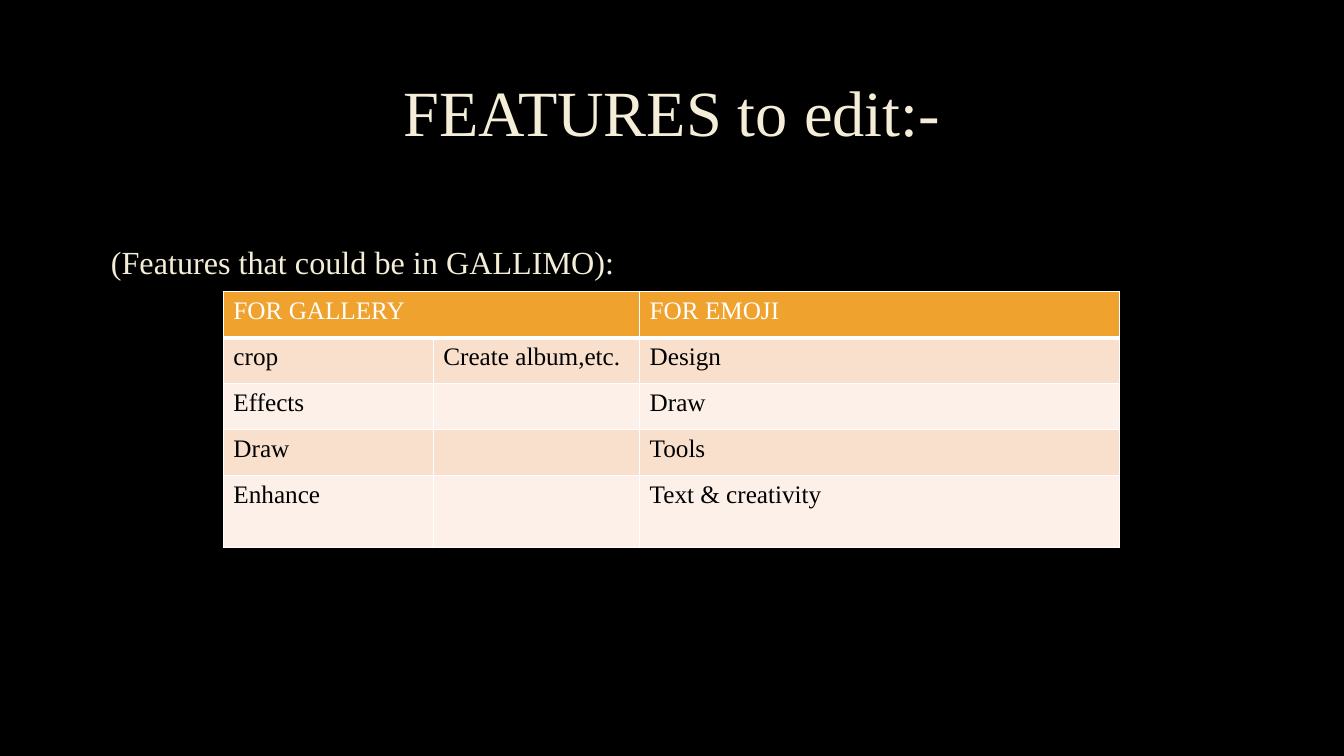
from lxml import etree
from pptx import Presentation
from pptx import util as u
from pptx.dml.color import RGBColor
from pptx.enum import text
from pptx.oxml.ns import qn

TITLE = "FEATURES to edit:-"
INTRO = "(Features that could be in GALLIMO):"
FEATURES = [
    ("FOR GALLERY", "", "FOR EMOJI"),
    ("crop", "Create album,etc.", "Design"),
    ("Effects", "", "Draw"),
    ("Draw", "", "Tools"),
    ("Enhance", "", "Text & creativity"),
]
COLORS = {
    "background": "000000",
    "cream": "F4EDD8",
    "header": "F0A22E",
    "odd": "F9E0CD",
    "even": "FCF0E8",
    "white": "FFFFFF",
    "black": "000000",
}
FONT = "Times New Roman"
COLUMN_WIDTHS = [5.29, 5.2, 12.09]
ROW_HEIGHTS = [1.16] * 4 + [1.8]


def color(name):
    return RGBColor.from_string(COLORS[name])


def place(shape, left, top, width, height):
    shape.left, shape.top = u.Cm(left), u.Cm(top)
    shape.width, shape.height = u.Cm(width), u.Cm(height)


def style_runs(paragraph, size, color_name):
    for run in paragraph.runs:
        run.font.name = FONT
        run.font.size = u.Pt(size)
        run.font.bold = False
        run.font.color.rgb = color(color_name)


def add_borders(cell, bottom):
    """Draw white cell edges, 1 pt wide except for the bottom one."""
    properties = cell._tc.get_or_add_tcPr()
    for position, (side, points) in enumerate(
            [("L", 1), ("R", 1), ("T", 1), ("B", bottom)]):
        line = etree.Element(qn(f"a:ln{side}"), w=str(u.Pt(points)))
        fill = etree.SubElement(line, qn("a:solidFill"))
        etree.SubElement(fill, qn("a:srgbClr"), val=COLORS["white"])
        properties.insert(position, line)


def fill_placeholder(shape, content, size, spacing, anchor):
    frame = shape.text_frame
    frame.text = content
    frame.word_wrap = True
    frame.auto_size = text.MSO_AUTO_SIZE.NONE
    frame.vertical_anchor = anchor
    paragraph = frame.paragraphs[0]
    paragraph.line_spacing = spacing
    paragraph.space_before = u.Pt(0)
    style_runs(paragraph, size, "cream")
    return paragraph


def add_features_table(slide):
    table = slide.shapes.add_table(
        len(FEATURES), len(COLUMN_WIDTHS), u.Cm(5.63), u.Cm(7.35),
        u.Cm(sum(COLUMN_WIDTHS)), u.Cm(sum(ROW_HEIGHTS))).table
    for column, width in zip(table.columns, COLUMN_WIDTHS):
        column.width = u.Cm(width)
    for row, height in zip(table.rows, ROW_HEIGHTS):
        row.height = u.Cm(height)
    for i, features in enumerate(FEATURES):
        band = "header" if i == 0 else "odd" if i % 2 else "even"
        for j, feature in enumerate(features):
            cell = table.cell(i, j)
            cell.text = feature
            cell.fill.solid()
            cell.fill.fore_color.rgb = color(band)
            add_borders(cell, bottom=1 if i else 3)
            style_runs(cell.text_frame.paragraphs[0], 18,
                       "black" if i else "white")
    table.cell(0, 0).merge(table.cell(0, 1))


def main():
    deck = Presentation()
    deck.slide_width, deck.slide_height = u.Cm(33.87), u.Cm(19.05)
    slide = deck.slides.add_slide(deck.slide_layouts[1])
    slide.background.fill.solid()
    slide.background.fill.fore_color.rgb = color("background")

    title, intro = slide.placeholders
    place(title, 4.23, 1.32, 25.4, 3.18)
    heading = fill_placeholder(title, TITLE, 46, 0.9, text.MSO_ANCHOR.MIDDLE)
    heading.alignment = text.PP_ALIGN.CENTER

    place(intro, 2.54, 5.77, 28.75, 10.31)
    lead = fill_placeholder(intro, INTRO, 23, 1.1, text.MSO_ANCHOR.TOP)
    intro.text_frame.margin_top = u.Cm(0.25)
    bullet = lead._p.get_or_add_pPr()
    bullet.set("marL", "0")
    bullet.set("indent", "0")
    etree.SubElement(bullet, qn("a:buNone"))

    add_features_table(slide)
    deck.save("out.pptx")


if __name__ == "__main__":
    main()
